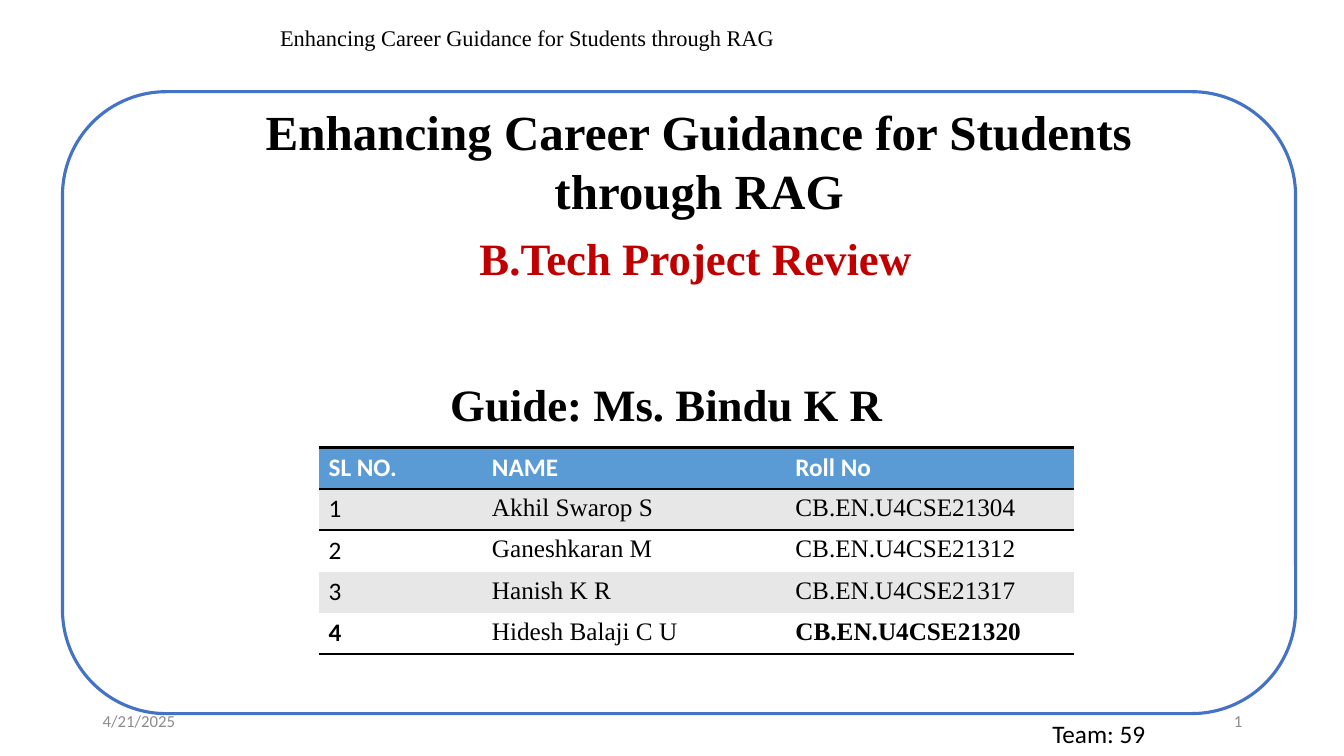
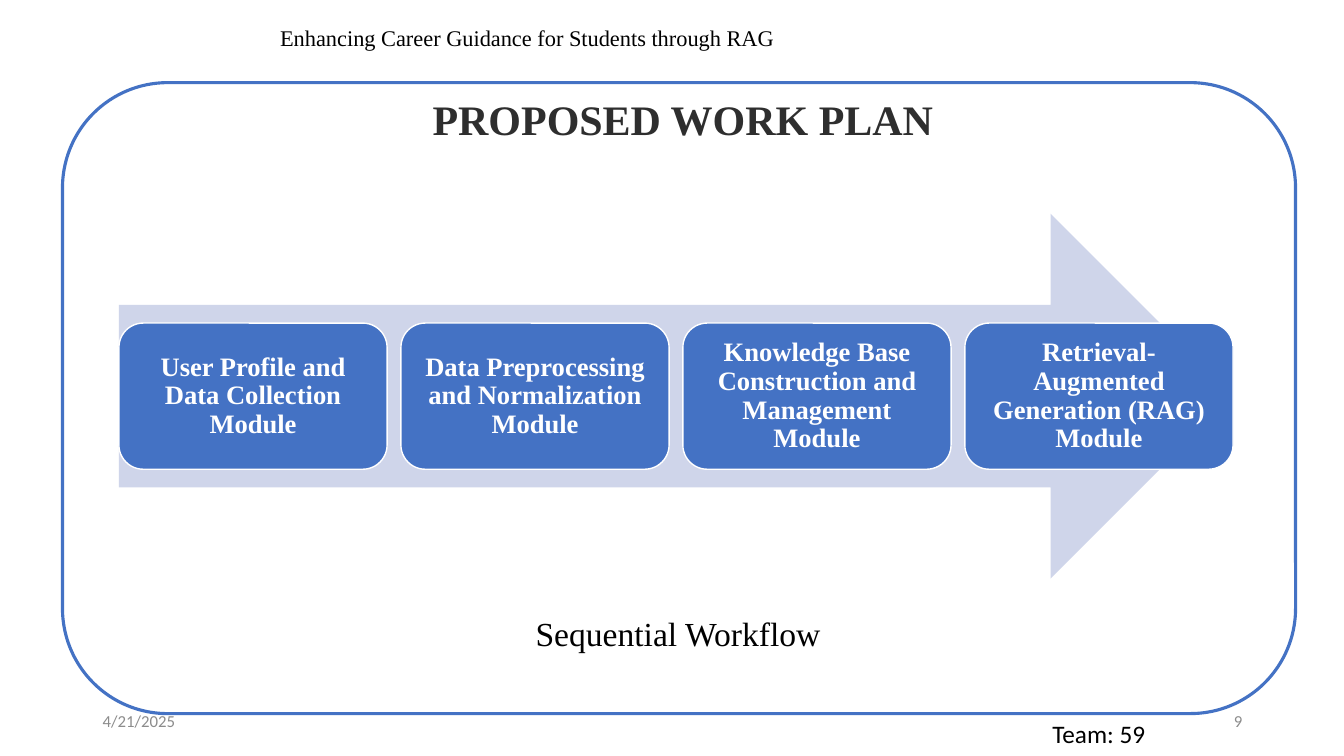
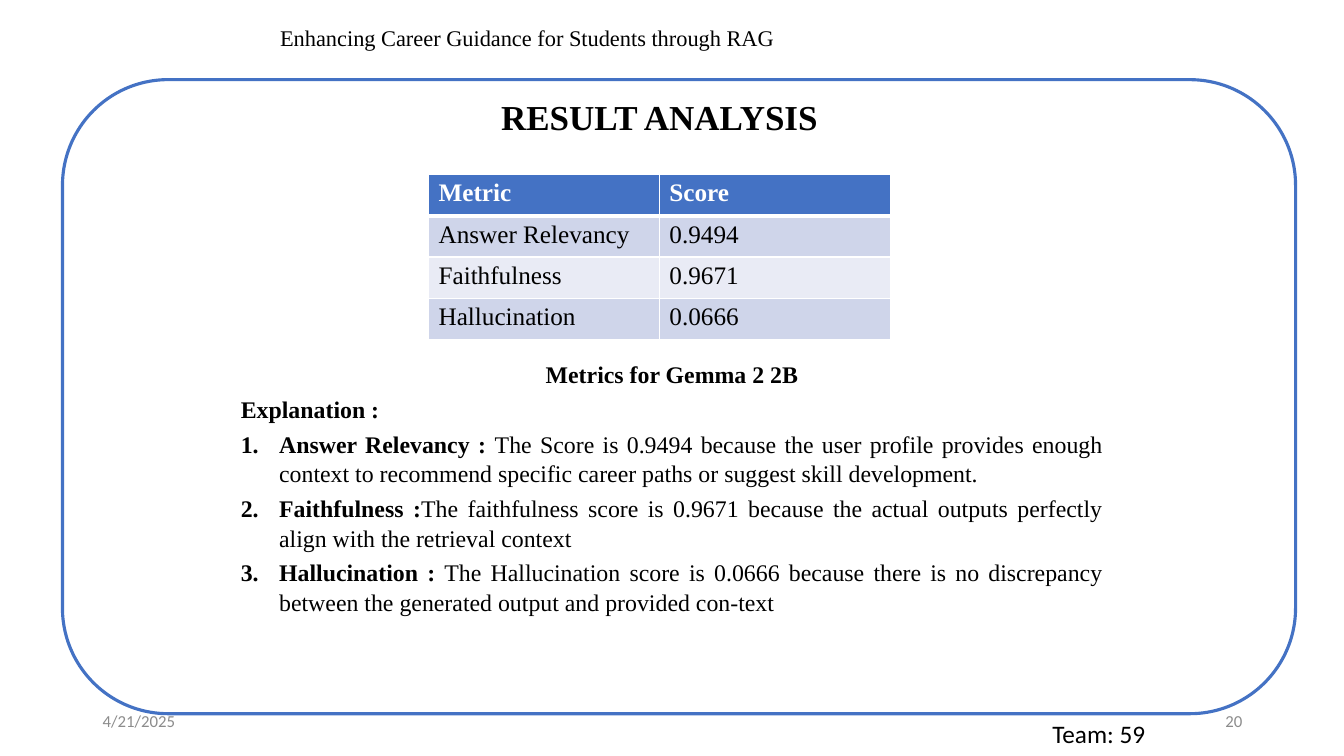
from lxml.etree import SubElement
from pptx import Presentation
from pptx.dml.color import RGBColor
from pptx.enum.shapes import MSO_SHAPE
from pptx.enum.text import MSO_ANCHOR, PP_ALIGN
from pptx.oxml import parse_xml
from pptx.oxml.ns import nsdecls, qn
from pptx.util import Emu, Pt

PX = 9144  # 100 px to the inch
WIDTH, HEIGHT = 1333, 750
SERIF, SANS = "Times New Roman", "Calibri"
BLACK, WHITE, BLUE, RED = "000000", "FFFFFF", "4472C4", "C00000"
CHARCOAL, GREY, SKY, SILVER = "2E2E2E", "8C8C8C", "5B9BD5", "E7E7E7"
PERIWINKLE, PALE = "CFD5EA", "E9EBF5"
LEFT, CENTER, RIGHT = PP_ALIGN.LEFT, PP_ALIGN.CENTER, PP_ALIGN.RIGHT
NO_GRID_STYLE = "{2D5ABB26-0587-4C30-8999-92F81FD0307C}"
PROJECT = "Enhancing Career Guidance for Students through RAG"


def px(length):
    return Emu(round(length * PX))


def place(box):
    return [px(length) for length in box]


def color(value):
    return RGBColor.from_string(value)


def style(paragraph, size, ink=BLACK, bold=None, font=SERIF, align=LEFT):
    paragraph.alignment = align
    paragraph.font.size = Pt(size)
    paragraph.font.name = font
    paragraph.font.color.rgb = color(ink)
    paragraph.font.bold = bold


def add_text(slide, box, words, size, anchor=MSO_ANCHOR.TOP, **look):
    frame = slide.shapes.add_textbox(*place(box)).text_frame
    frame.word_wrap = True
    frame.vertical_anchor = anchor
    frame.text = words
    style(frame.paragraphs[0], size, **look)


def add_block(slide, preset, box, fill=None, line=None, weight=1):
    block = slide.shapes.add_shape(preset, *place(box))
    block.shadow.inherit = False
    if fill:
        block.fill.solid()
        block.fill.fore_color.rgb = color(fill)
    else:
        block.fill.background()
    if line:
        block.line.color.rgb = color(line)
        block.line.width = Pt(weight)
    else:
        block.line.fill.background()
    return block


# Parts shared by every slide
def start_slide(deck, number, frame_top):
    slide = deck.slides.add_slide(deck.slide_layouts[6])
    add_block(slide, MSO_SHAPE.ROUNDED_RECTANGLE,
              (62, frame_top, 1223, 708 - frame_top), line=BLUE, weight=2.25)
    add_text(slide, (268, 19, 773, 64), PROJECT, 16)
    add_text(slide, (1034, 708, 300, 40), "Team: 59", 18, font=SANS)
    for left, words, align in ((92, "4/21/2025", LEFT), (942, str(number), RIGHT)):
        add_text(slide, (left, 695, 300, 40), words, 12, MSO_ANCHOR.MIDDLE,
                 ink=GREY, font=SANS, align=align)
    return slide


# Tables
def set_borders(cell, borders):
    """Borders map a side (L, R, T, B) to a colour and a width in points."""
    properties = cell._tc.get_or_add_tcPr()
    sides = [side for side in "LRTB" if side in borders]
    for index, side in enumerate(sides):
        ink, weight = borders[side]
        properties.insert(index, parse_xml(
            f'<a:ln{side} {nsdecls("a")} w="{Pt(weight)}"><a:solidFill>'
            f'<a:srgbClr val="{ink}"/></a:solidFill></a:ln{side}>'))


def add_grid(slide, left, top, columns, row_height, rows, fills, look, borders):
    """Fills, look and borders are rules taking the row and column."""
    box = (left, top, sum(columns), row_height * len(rows))
    table = slide.shapes.add_table(len(rows), len(columns), *place(box)).table
    table._tbl.tblPr.find(qn("a:tableStyleId")).text = NO_GRID_STYLE
    table.first_row = table.horz_banding = False
    for column, width in zip(table.columns, columns):
        column.width = px(width)
    for r, row in enumerate(rows):
        for c, words in enumerate(row):
            cell = table.cell(r, c)
            cell.text = words
            cell.fill.solid()
            cell.fill.fore_color.rgb = color(fills(r))
            style(cell.text_frame.paragraphs[0], 18, **look(r, c))
            set_borders(cell, borders(r))


def add_team_table(slide, left, top):
    rows = [
        ("SL NO.", "NAME", "Roll No"),
        ("1", "Akhil Swarop S", "CB.EN.U4CSE21304"),
        ("2", "Ganeshkaran M", "CB.EN.U4CSE21312"),
        ("3", "Hanish K R", "CB.EN.U4CSE21317"),
        ("4", "Hidesh Balaji C U", "CB.EN.U4CSE21320"),
    ]
    last = len(rows) - 1
    rule = (BLACK, 2)

    def fills(r):
        return SKY if r == 0 else SILVER if r % 2 else WHITE

    def look(r, c):
        return {"ink": BLACK if r else WHITE,
                "font": SANS if r == 0 or c == 0 else SERIF,
                "bold": r == 0 or (r == last and c != 1)}

    def borders(r):
        if r == 0:
            return {"T": rule, "B": rule}
        if r == 1:
            return {"T": rule}
        return {"B": rule} if r == last else {}

    add_grid(slide, left, top, (162, 301, 286), 41, rows, fills, look, borders)


def add_score_table(slide, left, top):
    rows = [("Metric", "Score"), ("Answer Relevancy", "0.9494"),
            ("Faithfulness", "0.9671"), ("Hallucination", "0.0666")]

    def fills(r):
        return BLUE if r == 0 else PERIWINKLE if r % 2 else PALE

    def look(r, c):
        return {"ink": BLACK if r else WHITE, "bold": r == 0}

    def borders(r):
        weights = {"L": 1, "R": 1, "T": 3 if r == 1 else 1, "B": 1 if r else 3}
        return {side: (WHITE, weight) for side, weight in weights.items()}

    add_grid(slide, left, top, (229, 229), 41, rows, fills, look, borders)


# Arrow with equally spaced modules on it
def add_workflow(slide, box, modules):
    left, top, width, height = box
    add_block(slide, MSO_SHAPE.RIGHT_ARROW, box, fill=PERIWINKLE)
    module_width, module_height = 266, 145
    pitch = (width - module_width) / (len(modules) - 1)
    module_top = top + (height - module_height) / 2
    for index, words in enumerate(modules):
        module = add_block(
            slide, MSO_SHAPE.ROUNDED_RECTANGLE,
            (left + index * pitch, module_top, module_width, module_height),
            fill=BLUE, line=WHITE)
        frame = module.text_frame
        frame.word_wrap = True
        frame.vertical_anchor = MSO_ANCHOR.MIDDLE
        frame.margin_left = frame.margin_right = px(15)
        frame.margin_top = frame.margin_bottom = px(15)
        frame.text = words
        style(frame.paragraphs[0], 19, ink=WHITE, bold=True, align=CENTER)
        frame.paragraphs[0].line_spacing = 0.9


# Caption, heading and numbered findings
def add_explanation(slide, box, caption, heading, findings):
    frame = slide.shapes.add_textbox(*place(box)).text_frame
    frame.word_wrap = True
    entries = [(caption, ""), (heading, ""), *findings]
    for index, (term, reason) in enumerate(entries):
        paragraph = frame.paragraphs[0] if index == 0 else frame.add_paragraph()
        if reason:
            properties = paragraph._p.get_or_add_pPr()
            properties.set("marL", str(px(38)))
            properties.set("indent", str(-px(38)))
            SubElement(properties, qn("a:buAutoNum"), type="arabicPeriod")
        style(paragraph, 17, align=PP_ALIGN.JUSTIFY if index else CENTER)
        paragraph.line_spacing = 1.04
        if index:
            paragraph.space_before = Pt(3.6)
        for words, bold in ((term, True), (reason, False)):
            if words:
                run = paragraph.add_run()
                run.text = words
                run.font.bold = bold


def build_cover(deck):
    slide = start_slide(deck, 1, 91)
    add_text(slide, (245, 96, 897, 187), PROJECT, 35, bold=True, align=CENTER)
    add_text(slide, (430, 224, 520, 64), "B.Tech Project Review", 32,
             ink=RED, bold=True, align=CENTER)
    add_text(slide, (318, 369, 686, 64), "Guide: Ms. Bindu K R", 32,
             bold=True, align=CENTER)
    add_team_table(slide, 316, 444)


def build_work_plan(deck):
    slide = start_slide(deck, 9, 82)
    add_text(slide, (404, 88, 547, 61), "PROPOSED WORK PLAN", 30,
             ink=CHARCOAL, bold=True, align=CENTER)
    add_workflow(slide, (118, 212, 1105, 362), [
        "User Profile and Data Collection Module",
        "Data Preprocessing and Normalization Module",
        "Knowledge Base Construction and Management Module",
        "Retrieval-Augmented Generation (RAG) Module",
    ])
    add_text(slide, (187, 603, 971, 52), "Sequential Workflow", 24, align=CENTER)


def build_results(deck):
    slide = start_slide(deck, 20, 79)
    add_text(slide, (204, 91, 900, 50), "RESULT ANALYSIS", 25,
             MSO_ANCHOR.MIDDLE, bold=True, align=CENTER)
    add_score_table(slide, 425, 173)
    add_explanation(
        slide, (229, 351, 875, 243), "Metrics for Gemma 2 2B", "Explanation :", [
            ("Answer Relevancy : ",
             "The Score is 0.9494 because the user profile provides enough context "
             "to recommend specific career paths or suggest skill development."),
            ("Faithfulness :",
             "The faithfulness score is 0.9671 because the actual outputs perfectly "
             "align with the retrieval context"),
            ("Hallucination :",
             " The Hallucination score is 0.0666 because there is no discrepancy "
             "between the generated output and provided con-text"),
        ])


def main():
    deck = Presentation()
    deck.slide_width, deck.slide_height = px(WIDTH), px(HEIGHT)
    build_cover(deck)
    build_work_plan(deck)
    build_results(deck)
    deck.save("out.pptx")


if __name__ == "__main__":
    main()
